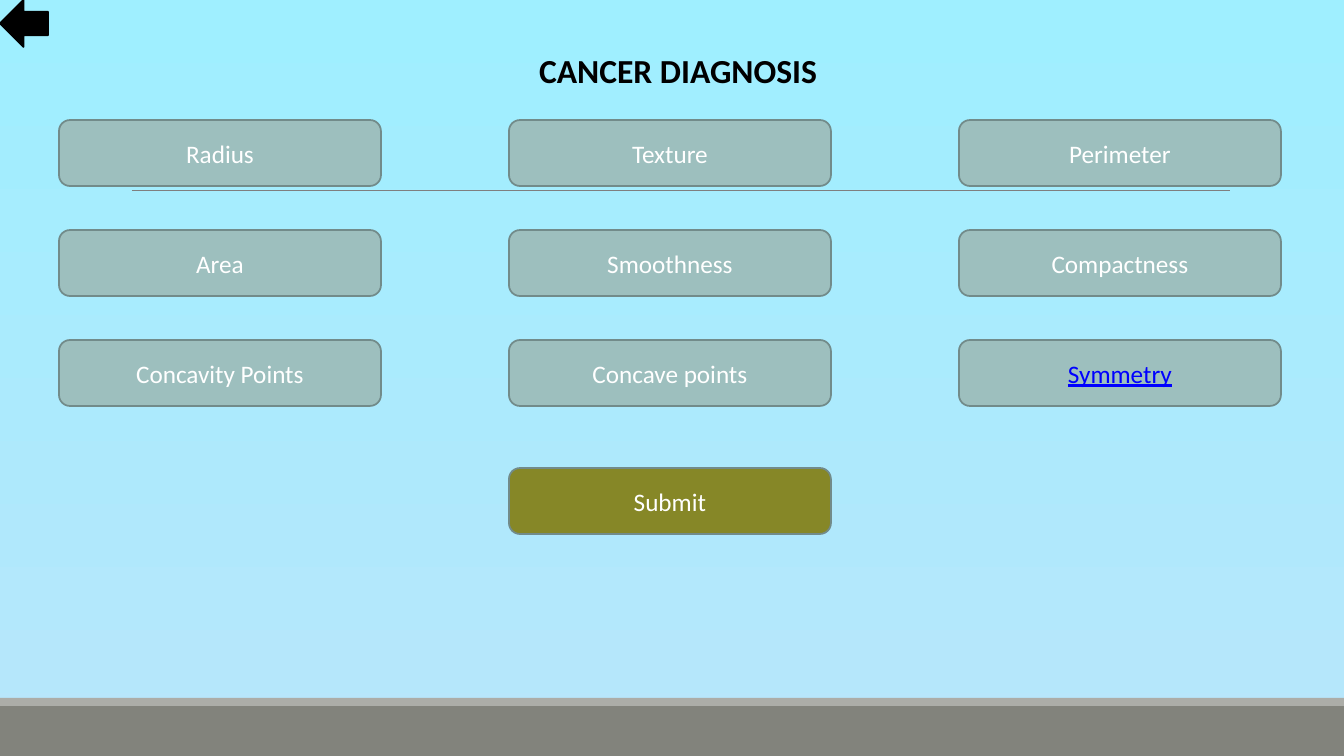
from dataclasses import dataclass

from lxml.etree import SubElement
from pptx import Presentation
from pptx.dml.color import RGBColor
from pptx.enum.shapes import MSO_CONNECTOR, MSO_SHAPE
from pptx.enum.text import MSO_ANCHOR, MSO_AUTO_SIZE, PP_ALIGN
from pptx.oxml.ns import qn
from pptx.shapes.autoshape import Shape
from pptx.slide import Slide
from pptx.text.text import TextFrame
from pptx.util import Emu, Pt

EMU_PER_PX = 914400 / 100.8
SLIDE_WIDTH, SLIDE_HEIGHT = 1344, 756

BLACK = RGBColor(0x00, 0x00, 0x00)
WHITE = RGBColor(0xFF, 0xFF, 0xFF)
SKY_TOP = RGBColor(0x9F, 0xEF, 0xFF)
SKY_BOTTOM = RGBColor(0xB7, 0xE6, 0xFB)
FOOTER_DARK = RGBColor(0x82, 0x83, 0x7C)
FOOTER_LIGHT = RGBColor(0xAC, 0xAD, 0xA8)
RULE_GRAY = RGBColor(0x7F, 0x7F, 0x7F)
TEAL = RGBColor(0x9D, 0xBF, 0xBE)
TEAL_EDGE = RGBColor(0x72, 0x8B, 0x8A)
OLIVE = RGBColor(0x86, 0x87, 0x27)
LINK_BLUE = RGBColor(0x00, 0x00, 0xFF)

BUTTON_WIDTH, BUTTON_HEIGHT = 322, 66
GRID_LEFT, GRID_TOP = 59, 120
COLUMN_PITCH, ROW_PITCH = 450, 110
SUBMIT_TOP = 468
FEATURE_ROWS = (
    ("Radius", "Texture", "Perimeter"),
    ("Area", "Smoothness", "Compactness"),
    ("Concavity Points", "Concave points", "Symmetry"),
)


@dataclass(frozen=True)
class Box:
    left: int
    top: int
    width: int
    height: int


@dataclass(frozen=True)
class Button:
    label: str
    left: int
    top: int
    fill: RGBColor = TEAL
    color: RGBColor = WHITE
    underline: bool = False


def px(value: int) -> Emu:
    return Emu(round(value * EMU_PER_PX))


def write_text(frame: TextFrame, text: str, *, size: int, color: RGBColor,
               align: PP_ALIGN, anchor: MSO_ANCHOR, bold: bool = False,
               underline: bool = False) -> None:
    frame.vertical_anchor = anchor
    paragraph = frame.paragraphs[0]
    paragraph.alignment = align
    run = paragraph.add_run()
    run.text = text
    run.font.name = "Calibri"
    run.font.size = Pt(size)
    run.font.bold = bold
    run.font.underline = underline
    run.font.color.rgb = color


def add_box(slide: Slide, preset: MSO_SHAPE, box: Box, fill: RGBColor,
            edge: RGBColor | None = None) -> Shape:
    shape = slide.shapes.add_shape(
        preset, px(box.left), px(box.top), px(box.width), px(box.height))
    shape.shadow.inherit = False
    shape.fill.solid()
    shape.fill.fore_color.rgb = fill
    if edge is None:
        shape.line.fill.background()
    else:
        shape.line.color.rgb = edge
        shape.line.width = Pt(1.25)
    return shape


def add_button(slide: Slide, button: Button) -> None:
    box = Box(button.left, button.top, BUTTON_WIDTH, BUTTON_HEIGHT)
    shape = add_box(slide, MSO_SHAPE.ROUNDED_RECTANGLE, box, button.fill, TEAL_EDGE)
    write_text(shape.text_frame, button.label, size=18, color=button.color,
               align=PP_ALIGN.CENTER, anchor=MSO_ANCHOR.MIDDLE,
               underline=button.underline)


def paint_background(slide: Slide) -> None:
    fill = slide.background.fill
    fill.gradient()
    fill.gradient_angle = 270
    for stop, color in zip(fill.gradient_stops, (SKY_TOP, SKY_BOTTOM)):
        stop.color.rgb = color


def add_rule(slide: Slide, left: int, right: int, top: int) -> None:
    rule = slide.shapes.add_connector(
        MSO_CONNECTOR.STRAIGHT, px(left), px(top), px(right), px(top))
    rule.line.color.rgb = RULE_GRAY
    rule.line.width = Pt(0.75)
    SubElement(rule._element.spPr, qn("a:effectLst"))


def place_title(slide: Slide, text: str, box: Box) -> None:
    title = slide.shapes.title
    title.left, title.top = px(box.left), px(box.top)
    title.width, title.height = px(box.width), px(box.height)
    frame = title.text_frame
    frame.word_wrap = False
    frame.auto_size = MSO_AUTO_SIZE.SHAPE_TO_FIT_TEXT
    write_text(frame, text, size=24, color=BLACK, align=PP_ALIGN.LEFT,
               anchor=MSO_ANCHOR.TOP, bold=True)


def feature_buttons() -> list[Button]:
    return [
        Button(label, GRID_LEFT + column * COLUMN_PITCH, GRID_TOP + row * ROW_PITCH,
               color=LINK_BLUE if label == "Symmetry" else WHITE,
               underline=label == "Symmetry")
        for row, labels in enumerate(FEATURE_ROWS)
        for column, label in enumerate(labels)
    ]


def main() -> None:
    presentation = Presentation()
    presentation.slide_width = px(SLIDE_WIDTH)
    presentation.slide_height = px(SLIDE_HEIGHT)
    slide = presentation.slides.add_slide(presentation.slide_layouts[5])

    paint_background(slide)
    add_box(slide, MSO_SHAPE.RECTANGLE, Box(0, 706, SLIDE_WIDTH, 50), FOOTER_DARK)
    add_box(slide, MSO_SHAPE.RECTANGLE, Box(0, 698, SLIDE_WIDTH, 8), FOOTER_LIGHT)
    add_rule(slide, 132, 1230, 191)
    place_title(slide, "CANCER DIAGNOSIS", Box(529, 45, 301, 50))

    submit = Button("Submit", GRID_LEFT + COLUMN_PITCH, SUBMIT_TOP, fill=OLIVE)
    for button in [*feature_buttons(), submit]:
        add_button(slide, button)
    add_box(slide, MSO_SHAPE.LEFT_ARROW, Box(0, 0, 48, 47), BLACK, BLACK)

    presentation.save("out.pptx")


if __name__ == "__main__":
    main()
